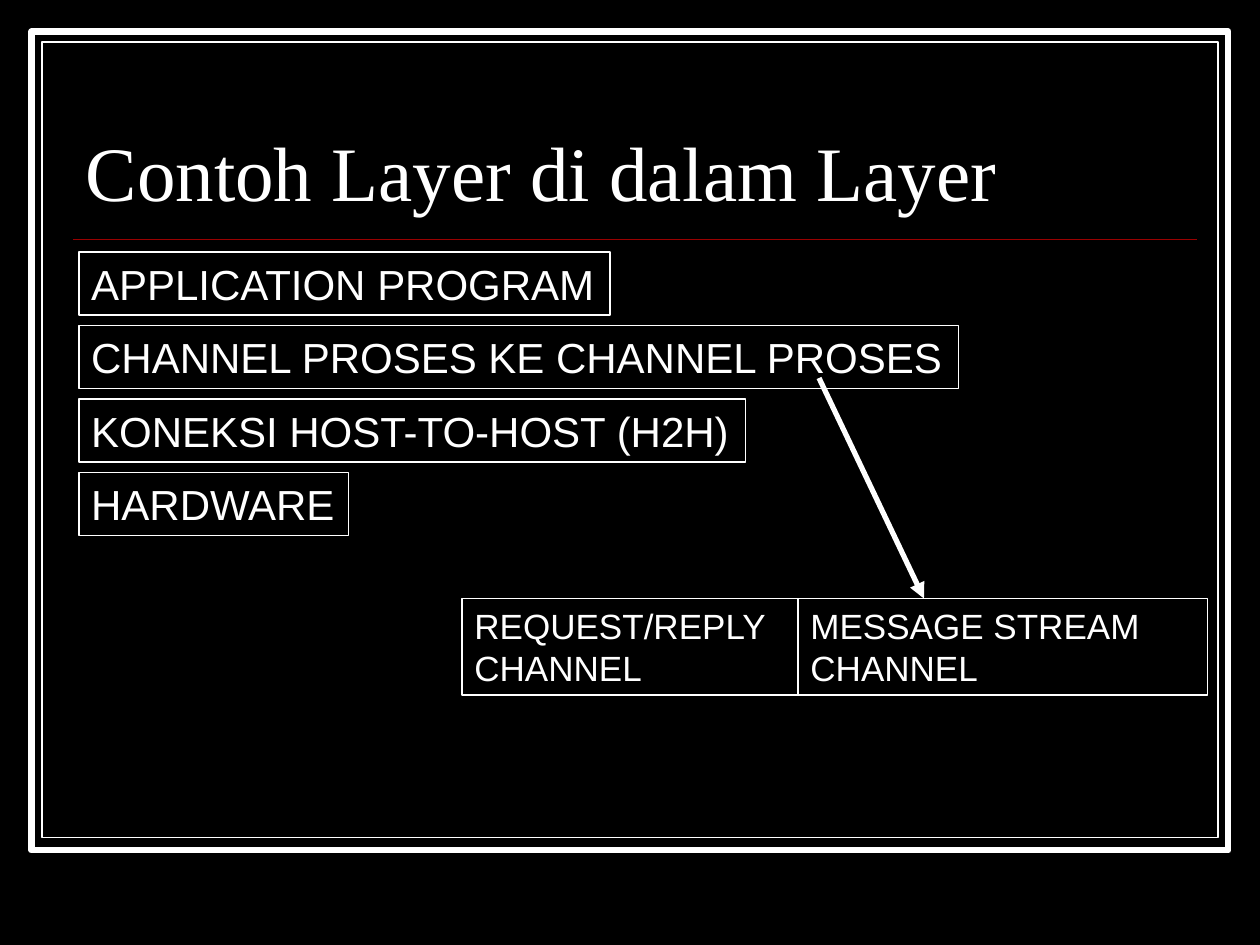
from lxml import etree
from pptx import Presentation
from pptx import util as u
from pptx.dml.color import RGBColor
from pptx.enum import shapes, text
from pptx.oxml import ns

BLACK = RGBColor(0x00, 0x00, 0x00)
WHITE = RGBColor(0xFF, 0xFF, 0xFF)
RED = RGBColor(0x99, 0x00, 0x00)


class LayerSlide:
    """Draws one slide on a grid of 120 columns by 90 rows."""

    columns, rows = 120, 90
    title_font, body_font = "Times New Roman", "Arial"

    def __init__(self, presentation):
        self.cell_width = presentation.slide_width / self.columns
        self.cell_height = presentation.slide_height / self.rows
        self.slide = presentation.slides.add_slide(presentation.slide_layouts[6])
        background = self.slide.background.fill
        background.solid()
        background.fore_color.rgb = BLACK

    def place(self, *lengths):
        sizes = (self.cell_width, self.cell_height) * 2
        return [u.Emu(round(length * size)) for length, size in zip(lengths, sizes)]

    def rectangle(self, column, row, width, height, weight):
        shape = self.slide.shapes.add_shape(
            shapes.MSO_SHAPE.RECTANGLE, *self.place(column, row, width, height))
        shape.shadow.inherit = False
        shape.fill.background()
        shape.line.color.rgb = WHITE
        shape.line.width = u.Pt(weight)
        return shape

    def set_text(self, shape, wording, size, font):
        paragraph = shape.text_frame.paragraphs[0]
        paragraph.text = wording
        paragraph.alignment = text.PP_ALIGN.LEFT
        paragraph.font.name = font
        paragraph.font.size = u.Pt(size)
        paragraph.font.color.rgb = WHITE
        return paragraph

    def title(self, wording, column, row, width, height):
        shape = self.slide.shapes.add_textbox(*self.place(column, row, width, height))
        shape.text_frame.word_wrap = True
        shape.text_frame.vertical_anchor = text.MSO_ANCHOR.BOTTOM
        self.set_text(shape, wording, 44, self.title_font).line_spacing = 0.8

    def box(self, wording, column, row, width, height, size, wrap):
        shape = self.rectangle(column, row, width, height, 1)
        frame = shape.text_frame
        frame.word_wrap = wrap
        frame.auto_size = text.MSO_AUTO_SIZE.SHAPE_TO_FIT_TEXT
        frame.vertical_anchor = text.MSO_ANCHOR.TOP
        self.set_text(shape, wording, size, self.body_font)

    def line(self, start, end, color, weight, arrow=False):
        connector = self.slide.shapes.add_connector(
            shapes.MSO_CONNECTOR.STRAIGHT, *self.place(*start, *end))
        connector.line.color.rgb = color
        connector.line.width = u.Pt(weight)
        properties = connector._element.spPr
        if arrow:
            outline = properties.get_or_add_ln()
            etree.SubElement(outline, ns.qn("a:tailEnd"), type="triangle")
        etree.SubElement(properties, ns.qn("a:effectLst"))


presentation = Presentation()
presentation.slide_width = u.Inches(10)
presentation.slide_height = u.Inches(7.5)
slide = LayerSlide(presentation)

for margin, height, weight in [(3, 78, 3.5), (4, 75.8, 0.75)]:
    slide.rectangle(margin, margin, slide.columns - 2 * margin, height, weight)
slide.line((7, 22.8), (114, 22.8), RED, 1)
slide.title("Contoh Layer di dalam Layer", 7, 6.2, 107, 15)

layers = [
    ("APPLICATION PROGRAM", 50.6),
    ("CHANNEL PROSES KE CHANNEL PROSES", 83.8),
    ("KONEKSI HOST-TO-HOST (H2H)", 63.5),
    ("HARDWARE", 25.7),
]
for index, (wording, width) in enumerate(layers):
    slide.box(wording, 7.5, 24 + 7 * index, width, 6, 24, False)

column = 44
for wording, width in [("REQUEST/REPLY CHANNEL", 32), ("MESSAGE STREAM CHANNEL", 39)]:
    slide.box(wording, column, 57, width, 9.2, 20, True)
    column += width

slide.line((78, 36), (88, 57), WHITE, 3, arrow=True)
presentation.save("out.pptx")
